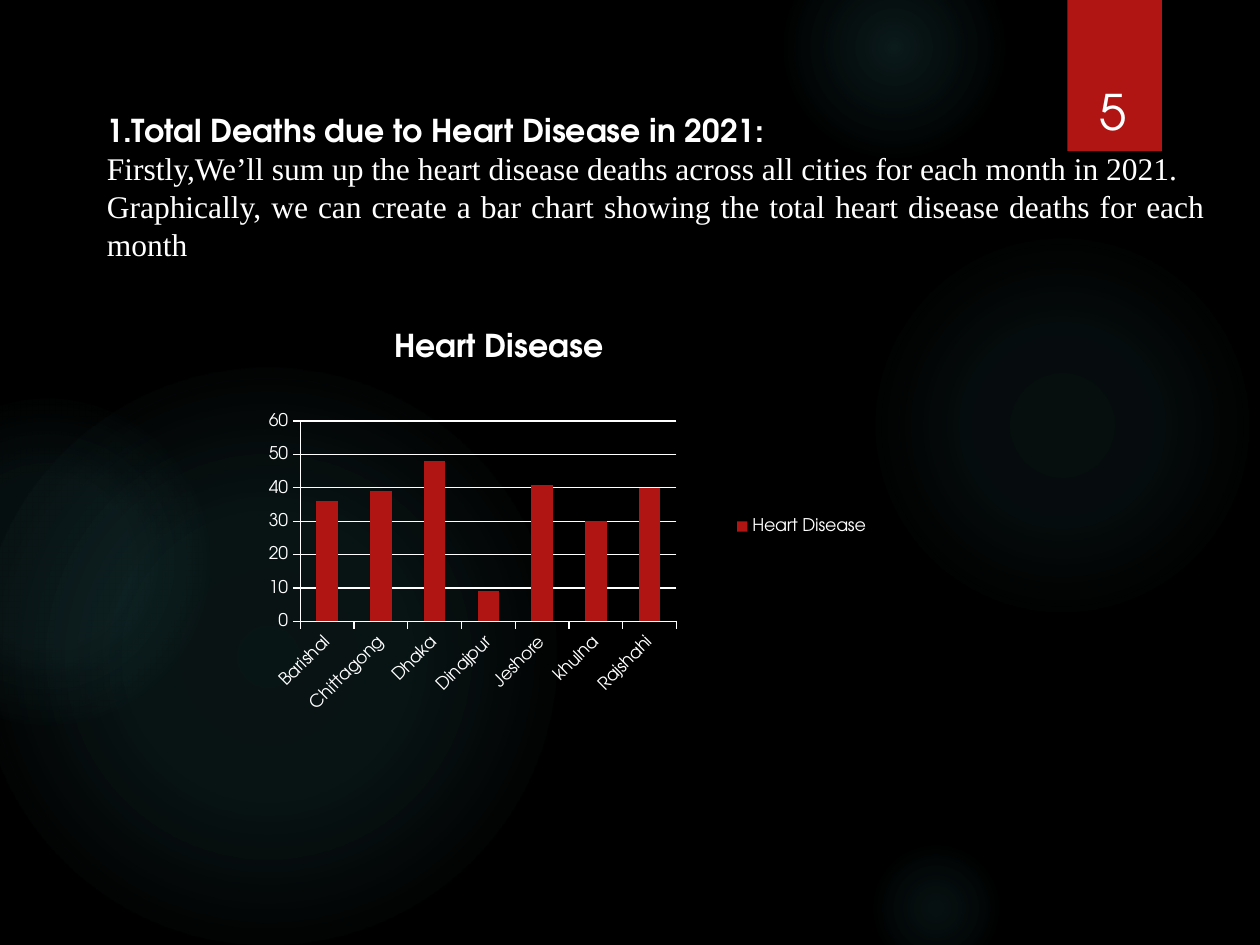
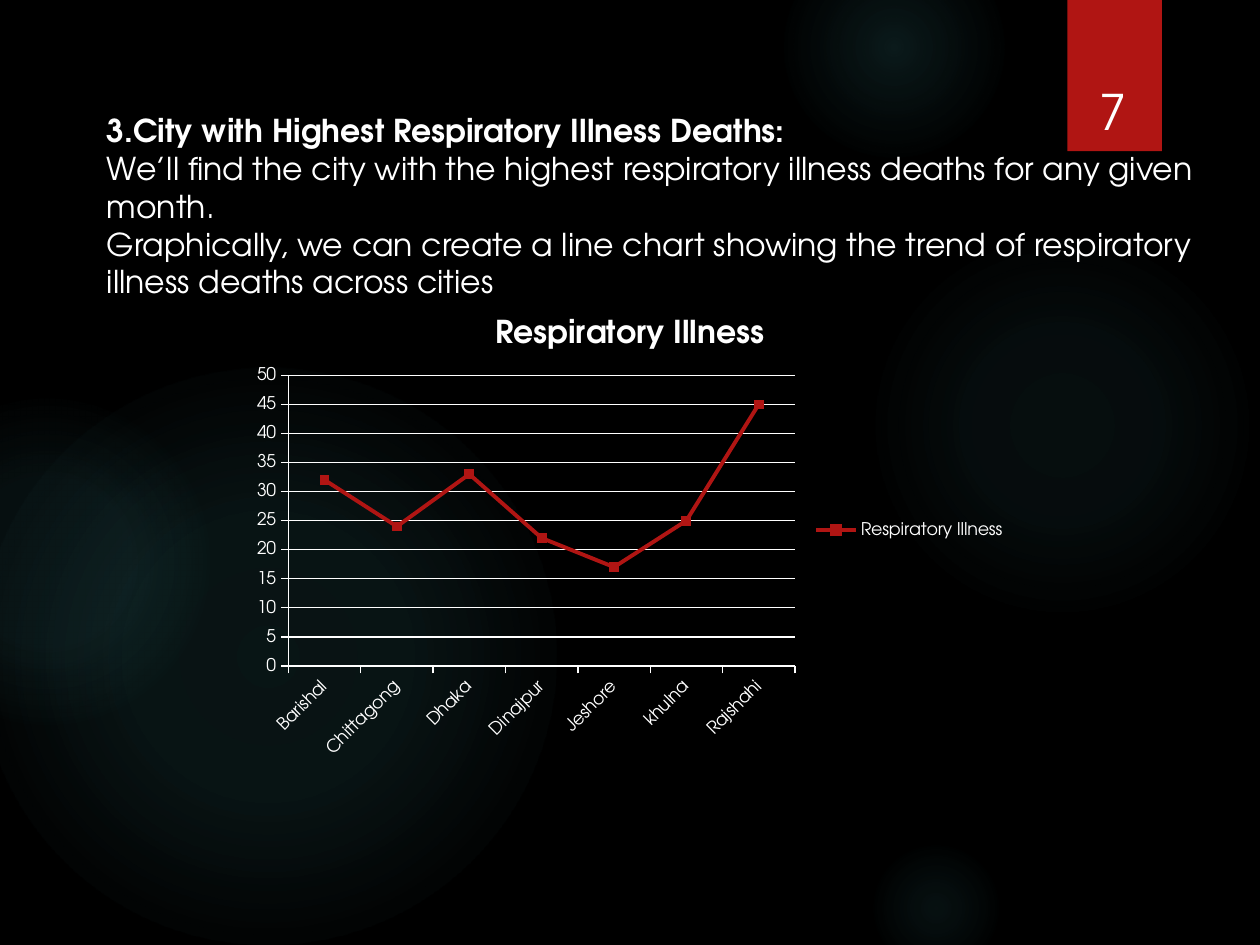
from lxml import etree
from pptx import Presentation
from pptx import util as u
from pptx.chart.data import CategoryChartData
from pptx.dml.color import RGBColor
from pptx.enum import chart as charts, shapes, text
from pptx.oxml import parse_xml
from pptx.oxml.ns import nsdecls

COLORS = {"background": "000000", "text": "FFFFFF", "accent": "B01513",
          "glow": "50B9C1", "shadow": "000000"}
SANS, SERIF = "TeX Gyre Adventor", "Times New Roman"
SLIDE_SIZE = (720, 540)
RIBBON = (610, 0, 54, 86.4)
NUMBER_BOX = (611.3, 23, 49.7, 60.5)
TEXT_BOX = (54, 60, 642, 116.6)

# left, top, diameter, then (position %, opacity %) stops
GLOWS = [
    (496, 132, 222, [(0, 7), (36, 6), (69, 0)]),
    (448, -36, 126, [(0, 14), (36, 7), (73, 0)]),
    (496, 480, 78, [(0, 9), (36, 5), (66, 0)]),
    (-12, 210, 330, [(0, 11), (36, 10), (75, 0)]),
    (-66, 228, 186, [(0, 8), (36, 8), (72, 0)]),
]

CITIES = ["Barishal", "Chittagong", "Dhaka", "Dinajpur", "Jeshore", "khulna", "Rajshahi"]
SLIDES = [
    {
        "number": "5",
        "heading": "1.Total Deaths due to Heart Disease in 2021:",
        "body": [
            "Firstly,We’ll sum up the heart disease deaths across all cities for each month in 2021.",
            "Graphically, we can create a bar chart showing the total heart disease deaths for each month",
        ],
        "body_format": {"font": SERIF, "align": text.PP_ALIGN.JUSTIFY},
        "kind": charts.XL_CHART_TYPE.COLUMN_CLUSTERED,
        "illness": "Heart Disease",
        "deaths": [36, 39, 48, 9, 41, 30, 40],
        "scale": (60, 10),
        "box": (66, 176.4, 438, 249),
        "plot_area": {"x": 0.241, "y": 0.258, "w": 0.491, "h": 0.46},
    },
    {
        "number": "7",
        "heading": "3.City with Highest Respiratory Illness Deaths:",
        "body": [
            "We’ll find the city with the highest respiratory illness deaths for any given month.",
            "Graphically, we can create a line chart showing the trend of respiratory illness deaths across cities",
        ],
        "body_format": {},
        "kind": charts.XL_CHART_TYPE.LINE_MARKERS,
        "illness": "Respiratory Illness",
        "deaths": [32, 24, 33, 22, 17, 25, 45],
        "scale": (50, 5),
        "box": (138, 168, 444, 270),
        "plot_area": None,
    },
]


def rgb(name):
    return RGBColor.from_string(COLORS[name])


def points(box):
    return [u.Pt(length) for length in box]


def style(font, size, name=SANS, bold=False):
    font.size, font.name, font.bold = u.Pt(size), name, bold
    font.color.rgb = rgb("text")


def write(paragraph, words, size=18, font=SANS, bold=False, align=text.PP_ALIGN.LEFT):
    paragraph.alignment = align
    run = paragraph.add_run()
    run.text = words
    style(run.font, size, font, bold)


def add_frame(slide, box, anchor=text.MSO_ANCHOR.TOP):
    frame = slide.shapes.add_textbox(*points(box)).text_frame
    frame.word_wrap = True
    frame.vertical_anchor = anchor
    return frame


def add_plain(slide, preset, box):
    shape = slide.shapes.add_shape(preset, *points(box))
    shape.shadow.inherit = False
    shape.line.fill.background()
    return shape


def add_glow(slide, left, top, diameter, stops):
    glow = add_plain(slide, shapes.MSO_SHAPE.OVAL, (left, top, diameter, diameter))
    stop_xml = "".join(
        f'<a:gs pos="{position * 1000}"><a:srgbClr val="{COLORS["glow"]}">'
        f'<a:alpha val="{opacity * 1000}"/></a:srgbClr></a:gs>'
        for position, opacity in stops)
    gradient = parse_xml(
        f'<a:gradFill {nsdecls("a")} rotWithShape="1"><a:gsLst>{stop_xml}</a:gsLst>'
        '<a:path path="circle"><a:fillToRect l="50000" t="50000" r="50000" b="50000"/>'
        '</a:path></a:gradFill>')
    glow.element.spPr.insert(2, gradient)  # right after the geometry


def add_ribbon(slide):
    ribbon = add_plain(slide, shapes.MSO_SHAPE.RECTANGLE, RIBBON)
    ribbon.fill.solid()
    ribbon.fill.fore_color.rgb = rgb("accent")
    effects = ribbon.element.spPr.xpath("a:effectLst")[0]
    effects.append(parse_xml(
        f'<a:outerShdw {nsdecls("a")} blurRad="{u.Pt(3)}" dist="{u.Pt(2)}" dir="5400000">'
        f'<a:srgbClr val="{COLORS["shadow"]}"><a:alpha val="45000"/></a:srgbClr></a:outerShdw>'))


def add_backdrop(slide):
    slide.background.fill.solid()
    slide.background.fill.fore_color.rgb = rgb("background")
    for glow in GLOWS:
        add_glow(slide, *glow)
    add_ribbon(slide)


def set_plot_area(chart, fractions):
    """Fix the inner plot area, in fractions of the chart frame."""
    plot_area = chart.element.chart.plotArea
    for layout in plot_area.xpath("c:layout"):
        plot_area.remove(layout)
    layout = parse_xml(f'<c:layout {nsdecls("c")}><c:manualLayout/></c:layout>')
    settings = {"layoutTarget": "inner", "xMode": "edge", "yMode": "edge", **fractions}
    for tag, value in settings.items():
        etree.SubElement(layout[0], f"{{{layout.nsmap['c']}}}{tag}", val=str(value))
    plot_area.insert(0, layout)


def style_axes(chart, maximum, step):
    cities, deaths = chart.category_axis, chart.value_axis
    deaths.minimum_scale, deaths.maximum_scale, deaths.major_unit = 0, maximum, step
    deaths.has_major_gridlines = True
    for axis in (cities, deaths):
        axis.major_tick_mark = charts.XL_TICK_MARK.OUTSIDE
        axis.minor_tick_mark = charts.XL_TICK_MARK.NONE
        style(axis.tick_labels.font, 10)
    for part in (cities, deaths, deaths.major_gridlines):
        part.format.line.color.rgb = rgb("text")
        part.format.line.width = u.Pt(0.75)
    slant = cities.tick_labels.font._element.getparent().getparent().getparent()
    slant.xpath("a:bodyPr")[0].set("rot", "-2700000")


def style_series(chart, kind):
    plot = chart.plots[0]
    plot.vary_by_categories = False
    series = plot.series[0]
    fills = [series.format.fill]
    if kind == charts.XL_CHART_TYPE.LINE_MARKERS:
        series.smooth = False
        series.format.line.color.rgb = rgb("accent")
        series.format.line.width = u.Pt(2.25)
        series.marker.style = charts.XL_MARKER_STYLE.SQUARE
        series.marker.size = 5
        series.marker.format.line.color.rgb = rgb("accent")
        fills = [series.marker.format.fill]
    else:
        plot.gap_width = 150
    for fill in fills:
        fill.solid()
        fill.fore_color.rgb = rgb("accent")


def add_death_chart(slide, content):
    figures = CategoryChartData()
    figures.categories = CITIES
    figures.add_series(content["illness"], content["deaths"])
    chart = slide.shapes.add_chart(content["kind"], *points(content["box"]), figures).chart
    style(chart.font, 10)
    chart.has_title = True
    write(chart.chart_title.text_frame.paragraphs[0], content["illness"], bold=True,
          align=text.PP_ALIGN.CENTER)
    chart.has_legend = True
    chart.legend.position = charts.XL_LEGEND_POSITION.RIGHT
    chart.legend.include_in_layout = False
    style(chart.legend.font, 10)
    style_axes(chart, *content["scale"])
    style_series(chart, content["kind"])
    if content["plot_area"]:
        set_plot_area(chart, content["plot_area"])


def add_slide(deck, content):
    slide = deck.slides.add_slide(deck.slide_layouts[6])
    add_backdrop(slide)
    frame = add_frame(slide, TEXT_BOX)
    frame.auto_size = text.MSO_AUTO_SIZE.SHAPE_TO_FIT_TEXT
    write(frame.paragraphs[0], content["heading"], bold=True)
    for sentence in content["body"]:
        write(frame.add_paragraph(), sentence, **content["body_format"])
    add_death_chart(slide, content)
    number = add_frame(slide, NUMBER_BOX, text.MSO_ANCHOR.BOTTOM)
    write(number.paragraphs[0], content["number"], size=28, align=text.PP_ALIGN.CENTER)


def main():
    deck = Presentation()
    deck.slide_width, deck.slide_height = points(SLIDE_SIZE)
    for content in SLIDES:
        add_slide(deck, content)
    deck.save("out.pptx")


if __name__ == "__main__":
    main()
